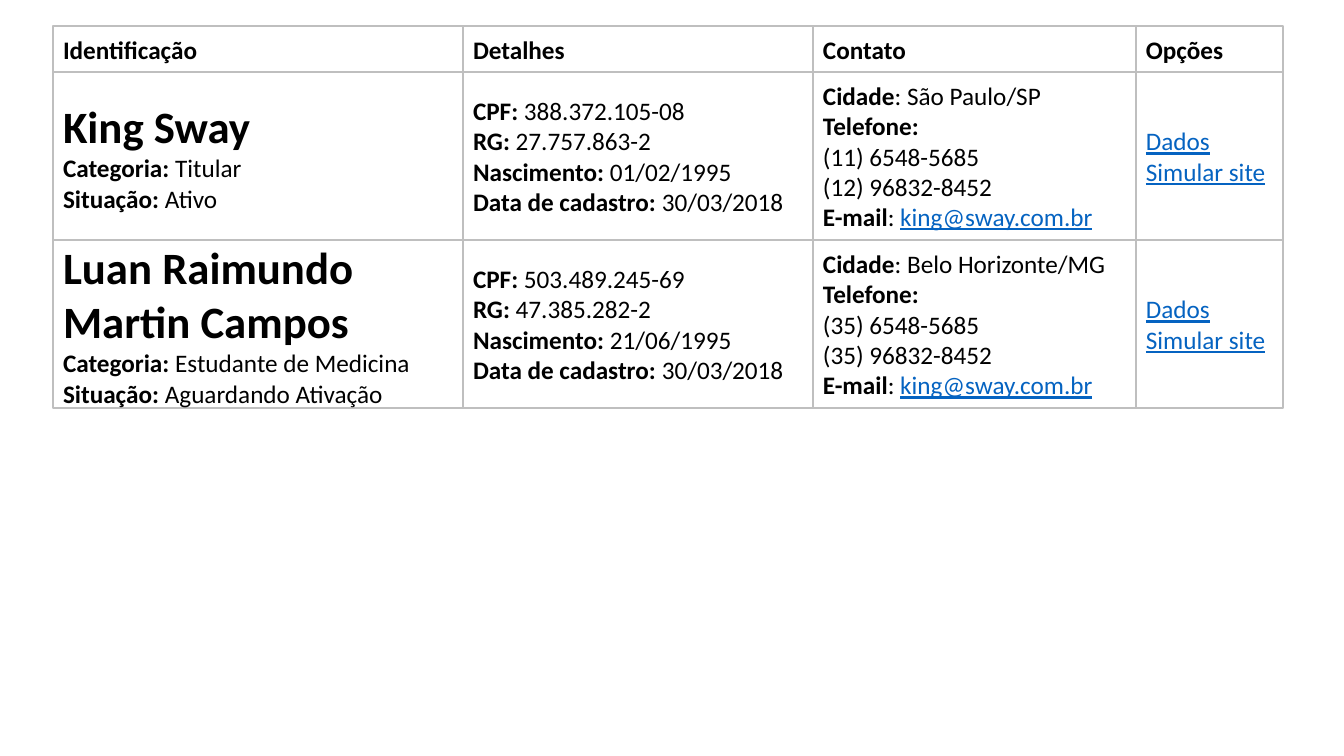
"""Build a slide with a grid of registered people."""
from pptx import Presentation
from pptx.dml.color import RGBColor
from pptx.enum.shapes import MSO_SHAPE
from pptx.enum.text import MSO_ANCHOR, PP_ALIGN
from pptx.util import Emu, Pt

RECTANGLE = MSO_SHAPE.RECTANGLE
MIDDLE = MSO_ANCHOR.MIDDLE
LEFT = PP_ALIGN.LEFT
PIXEL = 914400 / 100.8
COLORS = {"text": "000000", "link": "0563C1", "border": "BFBFBF", "cell": "FFFFFF"}
STYLES = {
    "name": {"size": 32, "bold": True, "color": "text"},
    "label": {"size": 18, "bold": True, "color": "text"},
    "value": {"size": 18, "bold": False, "color": "text"},
    "link": {"size": 18, "bold": False, "color": "link"},
}
HEADINGS = ("Identificação", "Detalhes", "Contato", "Opções")
COLUMN_WIDTHS = (410, 350, 323, 147)
ROW_HEIGHTS = (46, 168, 168)
GRID_BOX = (53, 26, sum(COLUMN_WIDTHS), sum(ROW_HEIGHTS))
SIDE_MARGIN, END_MARGIN = 10, 5
PEOPLE = (
    {"name": "King Sway", "category": "Titular", "status": "Ativo",
     "cpf": "388.372.105-08", "rg": "27.757.863-2", "birth": "01/02/1995",
     "registered": "30/03/2018", "city": "São Paulo/SP",
     "phones": ("(11) 6548-5685", "(12) 96832-8452"), "email": "king@sway.com.br"},
    {"name": "Luan Raimundo Martin Campos", "category": "Estudante de Medicina",
     "status": "Aguardando Ativação",
     "cpf": "503.489.245-69", "rg": "47.385.282-2", "birth": "21/06/1995",
     "registered": "30/03/2018", "city": "Belo Horizonte/MG",
     "phones": ("(35) 6548-5685", "(35) 96832-8452"), "email": "king@sway.com.br"},
)


def px(length):
    """Turn pixels into EMU."""
    return Emu(round(length * PIXEL))


def rgb(name):
    """Look up a named colour."""
    return RGBColor.from_string(COLORS[name])


def field(label, value):
    """Return one line holding a bold label and its value."""
    return [("label", label), ("value", value)]


def person_cells(person):
    """Return the lines of the four cells that describe a person."""
    identity = [[("name", person["name"])],
                field("Categoria: ", person["category"]),
                field("Situação: ", person["status"])]
    details = [field("CPF: ", person["cpf"]),
               field("RG: ", person["rg"]),
               field("Nascimento: ", person["birth"]),
               field("Data de cadastro: ", person["registered"])]
    contact = [field("Cidade", ": " + person["city"]),
               [("label", "Telefone:")],
               *([("value", phone)] for phone in person["phones"]),
               field("E-mail", ": ") + [("link", person["email"])]]
    options = [[("link", "Dados")], [("link", "Simular site")]]
    return identity, details, contact, options


def write_line(para, line):
    """Add the styled runs of one line to a paragraph."""
    para.alignment = LEFT
    for style_name, text in line:
        style = STYLES[style_name]
        span = para.add_run()
        span.text = text
        span.font.name = "Calibri"
        span.font.size = Pt(style["size"])
        span.font.bold = style["bold"]
        span.font.underline = style_name == "link"
        span.font.color.rgb = rgb(style["color"])


def add_cell(page, box, lines):
    """Draw a bordered cell in the given box and write its lines."""
    shape = page.shapes.add_shape(RECTANGLE, *map(px, box))
    shape.shadow.inherit = False
    shape.fill.solid()
    shape.fill.fore_color.rgb = rgb("cell")
    shape.line.color.rgb = rgb("border")
    shape.line.width = Pt(1)
    frame = shape.text_frame
    frame.word_wrap = True
    frame.vertical_anchor = MIDDLE
    frame.margin_left = frame.margin_right = px(SIDE_MARGIN)
    frame.margin_top = frame.margin_bottom = px(END_MARGIN)
    for index, line in enumerate(lines):
        para = frame.add_paragraph() if index else frame.paragraphs[0]
        write_line(para, line)


def add_people_grid(page, box):
    """Place the headings and people, cell by cell, in the given box."""
    rows = [[[[("label", heading)]] for heading in HEADINGS]]
    rows += [person_cells(person) for person in PEOPLE]
    left, top, total_width, total_height = box
    x_scale = total_width / sum(COLUMN_WIDTHS)
    y_scale = total_height / sum(ROW_HEIGHTS)
    for row, contents in enumerate(rows):
        y = top + sum(ROW_HEIGHTS[:row]) * y_scale
        for column, lines in enumerate(contents):
            x = left + sum(COLUMN_WIDTHS[:column]) * x_scale
            width = COLUMN_WIDTHS[column] * x_scale
            add_cell(page, (x, y, width, ROW_HEIGHTS[row] * y_scale), lines)


def main():
    """Build and save the deck."""
    deck = Presentation()
    deck.slide_width, deck.slide_height = px(1344), px(756)
    page = deck.slides.add_slide(deck.slide_layouts[6])
    add_people_grid(page, GRID_BOX)
    deck.save("out.pptx")


main()
